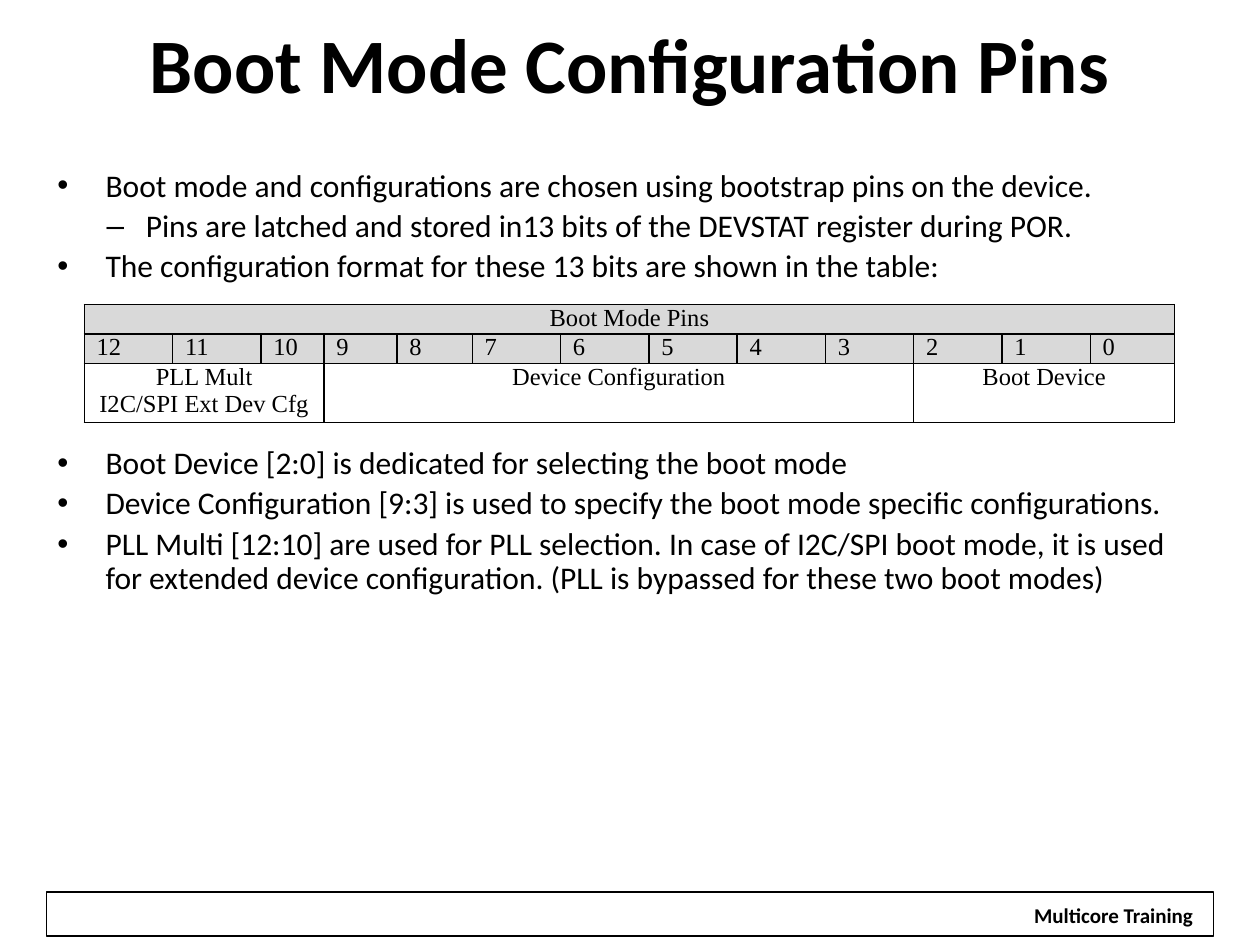
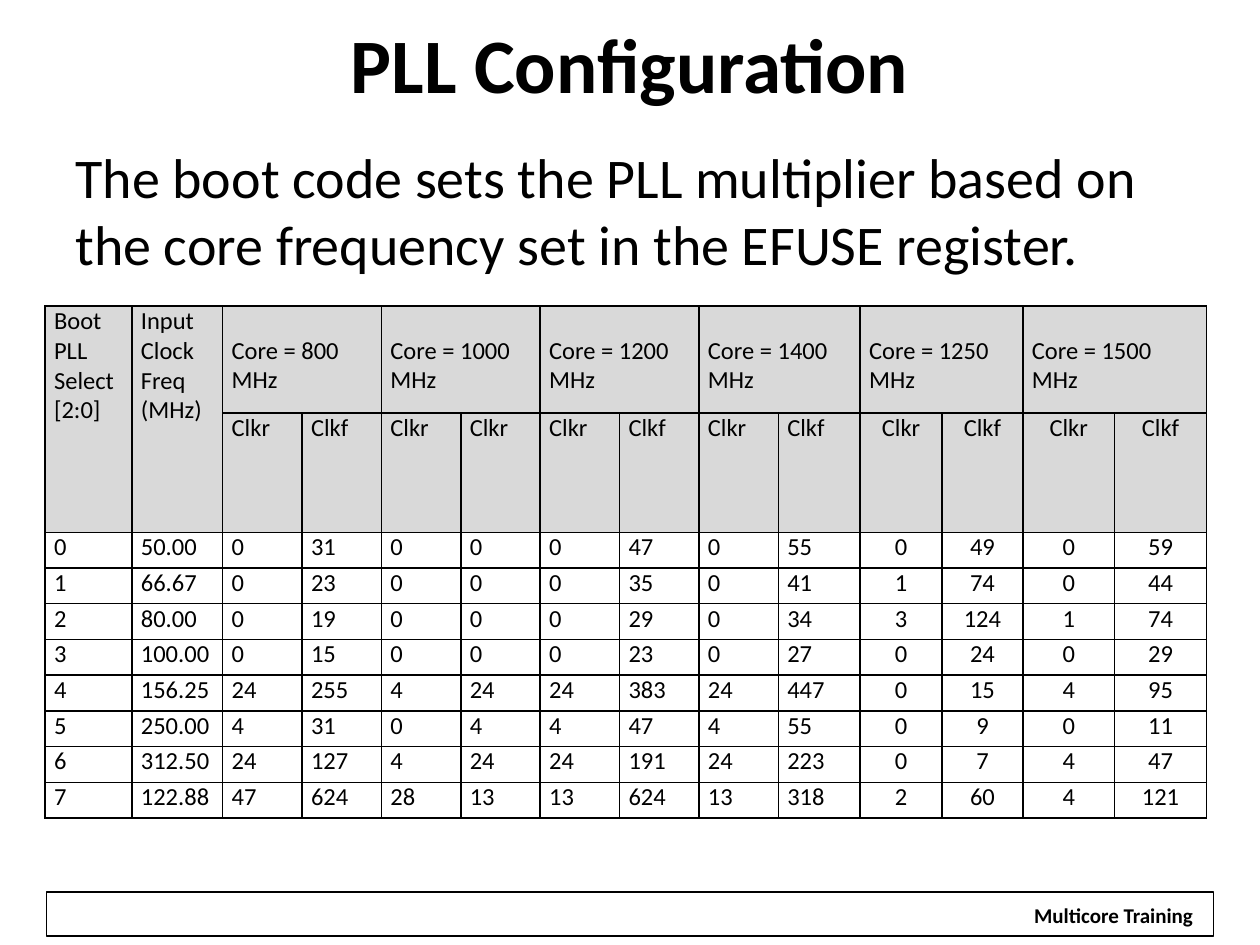
from lxml.etree import SubElement
from pptx import Presentation
from pptx.dml.color import RGBColor
from pptx.enum.shapes import MSO_SHAPE
from pptx.enum.text import MSO_ANCHOR, PP_ALIGN
from pptx.oxml.ns import qn
from pptx.util import Cm, Pt

BLACK = RGBColor(0x00, 0x00, 0x00)
WHITE = RGBColor(0xFF, 0xFF, 0xFF)
GREY = RGBColor(0xD9, 0xD9, 0xD9)

TITLE_FONT = {"name": "Calibri", "size": Pt(44), "bold": True}
BULLET_FONT = {"name": "Calibri", "size": Pt(18)}
INTRO_FONT = {"name": "Calibri", "size": Pt(32)}
FOOTER_FONT = {"name": "Calibri", "size": Pt(12), "bold": True}
PIN_FONT = {"name": "Times New Roman", "size": Pt(14)}
CLOCK_FONT = {"name": "Calibri", "size": Pt(14)}


def style(para, font_format, alignment=PP_ALIGN.LEFT):
    para.alignment = alignment
    for span in para.runs:
        for name, value in font_format.items():
            setattr(span.font, name, value)
        span.font.color.rgb = BLACK


def draw_table(slide, place, widths, heights, rows, merges, font_format, inset, centred):
    """Fill a bordered table; the first two rows are grey."""
    left, top = place
    table = slide.shapes.add_table(len(rows), len(widths), Cm(left), Cm(top),
                                   Cm(sum(widths)), Cm(sum(heights))).table
    table.first_row = table.horz_banding = False
    for column, width in zip(table.columns, widths):
        column.width = Cm(width)
    for row, height in zip(table.rows, heights):
        row.height = Cm(height)
    for row_index, texts in enumerate(rows):
        for column_index, text in enumerate(texts):
            cell = table.cell(row_index, column_index)
            cell.margin_left = cell.margin_right = Cm(inset)
            cell.margin_top = cell.margin_bottom = 0
            properties = cell._tc.get_or_add_tcPr()
            for side in ("a:lnL", "a:lnR", "a:lnT", "a:lnB"):
                line = SubElement(properties, qn(side), w=str(Pt(1)))
                fill = SubElement(line, qn("a:solidFill"))
                SubElement(fill, qn("a:srgbClr"), val=str(BLACK))
            cell.fill.solid()
            cell.fill.fore_color.rgb = GREY if row_index < 2 else WHITE
            if text:
                cell.text = text
            for para in cell.text_frame.paragraphs:
                middle = centred(row_index, column_index)
                style(para, font_format, PP_ALIGN.CENTER if middle else PP_ALIGN.LEFT)
    for first_row, first_column, last_row, last_column in merges:
        table.cell(first_row, first_column).merge(table.cell(last_row, last_column))
    return table


deck = Presentation()
deck.slide_width, deck.slide_height = Cm(25.4), Cm(19.05)

# Footer and title on both slides
pages = []
for heading in ("Boot Mode Configuration Pins", "PLL Configuration"):
    page = deck.slides.add_slide(deck.slide_layouts[5])
    pages.append(page)

    band = page.shapes.add_shape(MSO_SHAPE.RECTANGLE, Cm(0.94), Cm(17.98), Cm(23.52), Cm(0.89))
    band.shadow.inherit = False
    band.fill.background()
    band.line.color.rgb = BLACK
    band.line.width = Pt(0.75)

    label = page.shapes.add_textbox(Cm(20.57), Cm(18.06), Cm(3.76), Cm(0.76))
    label.fill.solid()
    label.fill.fore_color.rgb = WHITE
    label.text_frame.text = "Multicore Training"
    style(label.text_frame.paragraphs[0], FOOTER_FONT, PP_ALIGN.CENTER)

    title = page.shapes.title
    title.left, title.top, title.width, title.height = Cm(1.27), Cm(0.2), Cm(22.86), Cm(2.11)
    title.text_frame.text = heading
    title.text_frame.vertical_anchor = MSO_ANCHOR.MIDDLE
    style(title.text_frame.paragraphs[0], TITLE_FONT, PP_ALIGN.CENTER)

pins_page, clock_page = pages

# Boot mode bullets: mark, space before in points, text
bullets = [
    ("•", 0, "Boot mode and configurations are chosen using bootstrap pins on the device."),
    ("–", 3.6, "Pins are latched and stored in13 bits of the DEVSTAT register during POR."),
    ("•", 3.6, "The configuration format for these 13 bits are shown in the table:"),
    ("•", 93, "Boot Device [2:0] is dedicated for selecting the boot mode"),
    ("•", 3.6, "Device Configuration [9:3] is used to specify the boot mode specific configurations."),
    ("•", 3.6, "PLL Multi [12:10] are used for PLL selection. In case of I2C/SPI boot mode, "
               "it is used for extended device configuration. "
               "(PLL is bypassed for these two boot modes)"),
]
indents = {"•": (0.97, -0.97), "–": (1.78, -0.79)}
frame = pins_page.shapes.add_textbox(Cm(0.91), Cm(3.3), Cm(23.52), Cm(13.74)).text_frame
frame.word_wrap = True
for index, (mark, space, text) in enumerate(bullets):
    para = frame.add_paragraph() if index else frame.paragraphs[0]
    para.level = 1 if mark == "–" else 0
    para.line_spacing = 0.9
    para.space_before = Pt(space)
    margin, hang = indents[mark]
    properties = para._p.get_or_add_pPr()
    properties.set("marL", str(Cm(margin)))
    properties.set("indent", str(Cm(hang)))
    SubElement(properties, qn("a:buFont"), typeface="Arial")
    SubElement(properties, qn("a:buChar"), char=mark)
    para.add_run().text = text
    style(para, BULLET_FONT)

# Boot mode pin table
pin_rows = [
    ["Boot Mode Pins"] + [""] * 12,
    [str(pin) for pin in range(12, -1, -1)],
    ["PLL Mult\nI2C/SPI Ext Dev Cfg", "", "", "Device Configuration"] + [""] * 6
    + ["Boot Device", "", ""],
]
draw_table(pins_page, (1.7, 6.14),
           [1.78, 1.78, 1.27, 1.47, 1.52] + [1.78] * 7 + [1.7], [0.58, 0.58, 1.17],
           pin_rows, [(0, 0, 0, 12), (2, 0, 2, 2), (2, 3, 2, 9), (2, 10, 2, 12)],
           PIN_FONT, 0.25, lambda row, column: row != 1)

# PLL introduction
frame = clock_page.shapes.add_textbox(Cm(1.27), Cm(2.74), Cm(22.86), Cm(14.81)).text_frame
frame.word_wrap = True
frame.text = ("The boot code sets the PLL multiplier based on the core frequency "
              "set in the EFUSE register.")
style(frame.paragraphs[0], INTRO_FONT)

# PLL settings table
core_row = ["Boot PLL Select [2:0]", "Input Clock Freq (MHz)"]
for speed in (800, 1000, 1200, 1400, 1250, 1500):
    core_row += [f"Core = {speed} MHz", ""]
divider_row = ["", ""] + ["Clkr", "Clkf"] * 6
divider_row[5] = "Clkr"
settings = [
    "0 50.00 0 31 0 0 0 47 0 55 0 49 0 59",
    "1 66.67 0 23 0 0 0 35 0 41 1 74 0 44",
    "2 80.00 0 19 0 0 0 29 0 34 3 124 1 74",
    "3 100.00 0 15 0 0 0 23 0 27 0 24 0 29",
    "4 156.25 24 255 4 24 24 383 24 447 0 15 4 95",
    "5 250.00 4 31 0 4 4 47 4 55 0 9 0 11",
    "6 312.50 24 127 4 24 24 191 24 223 0 7 4 47",
    "7 122.88 47 624 28 13 13 624 13 318 2 60 4 121",
]
core_columns = range(2, 14, 2)
clock_table = draw_table(
    clock_page, (0.91, 6.17),
    [1.75, 1.83] + [1.6] * 7 + [1.65, 1.65, 1.63, 1.85, 1.85], [2.16, 2.4] + [0.72] * 8,
    [core_row, divider_row] + [line.split() for line in settings],
    [(0, 0, 1, 0), (0, 1, 1, 1)] + [(0, column, 0, column + 1) for column in core_columns],
    CLOCK_FONT, 0.18, lambda row, column: row > 0 and column >= 10)
for column in core_columns:
    clock_table.cell(0, column).margin_top = Cm(0.6)

deck.save("out.pptx")
